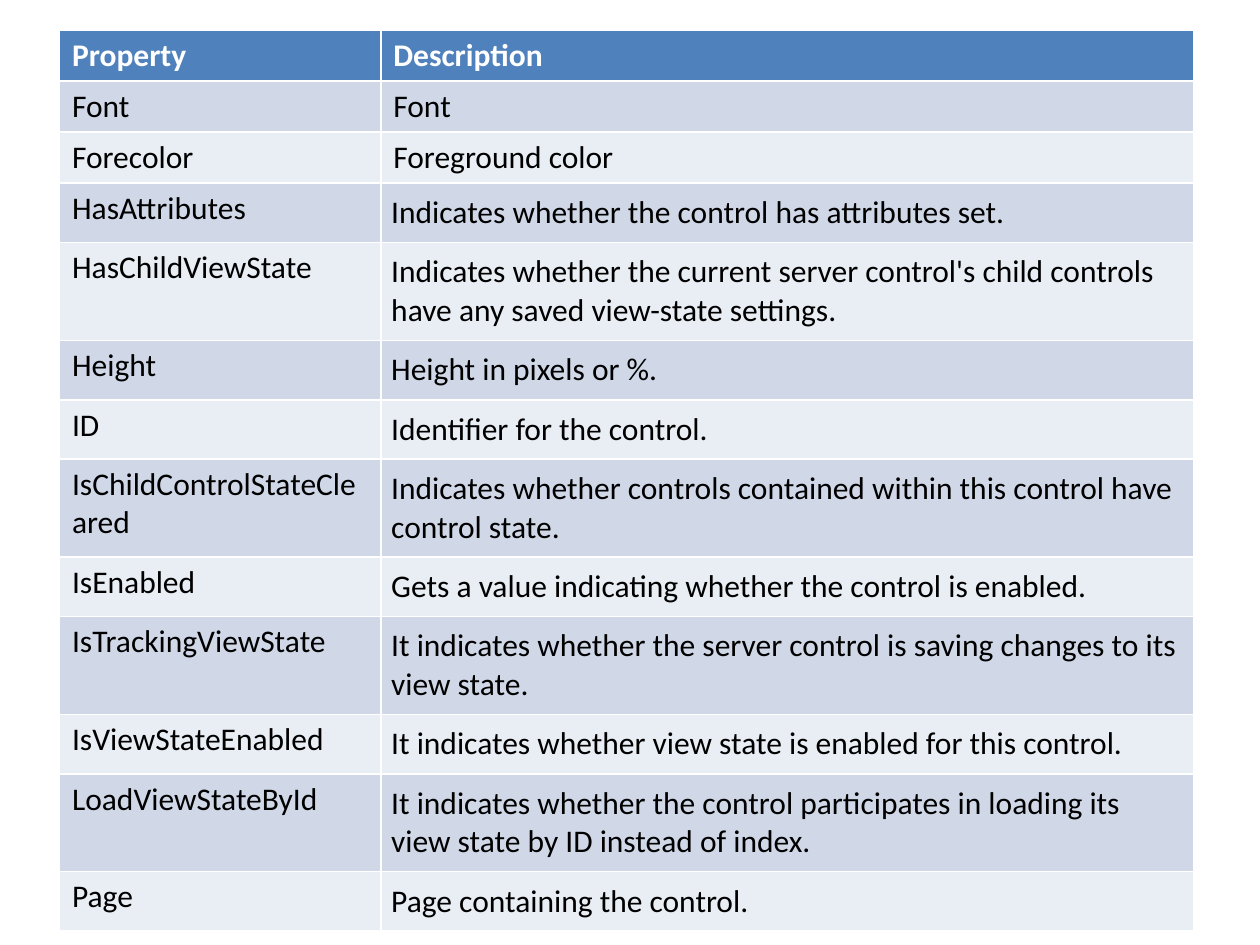
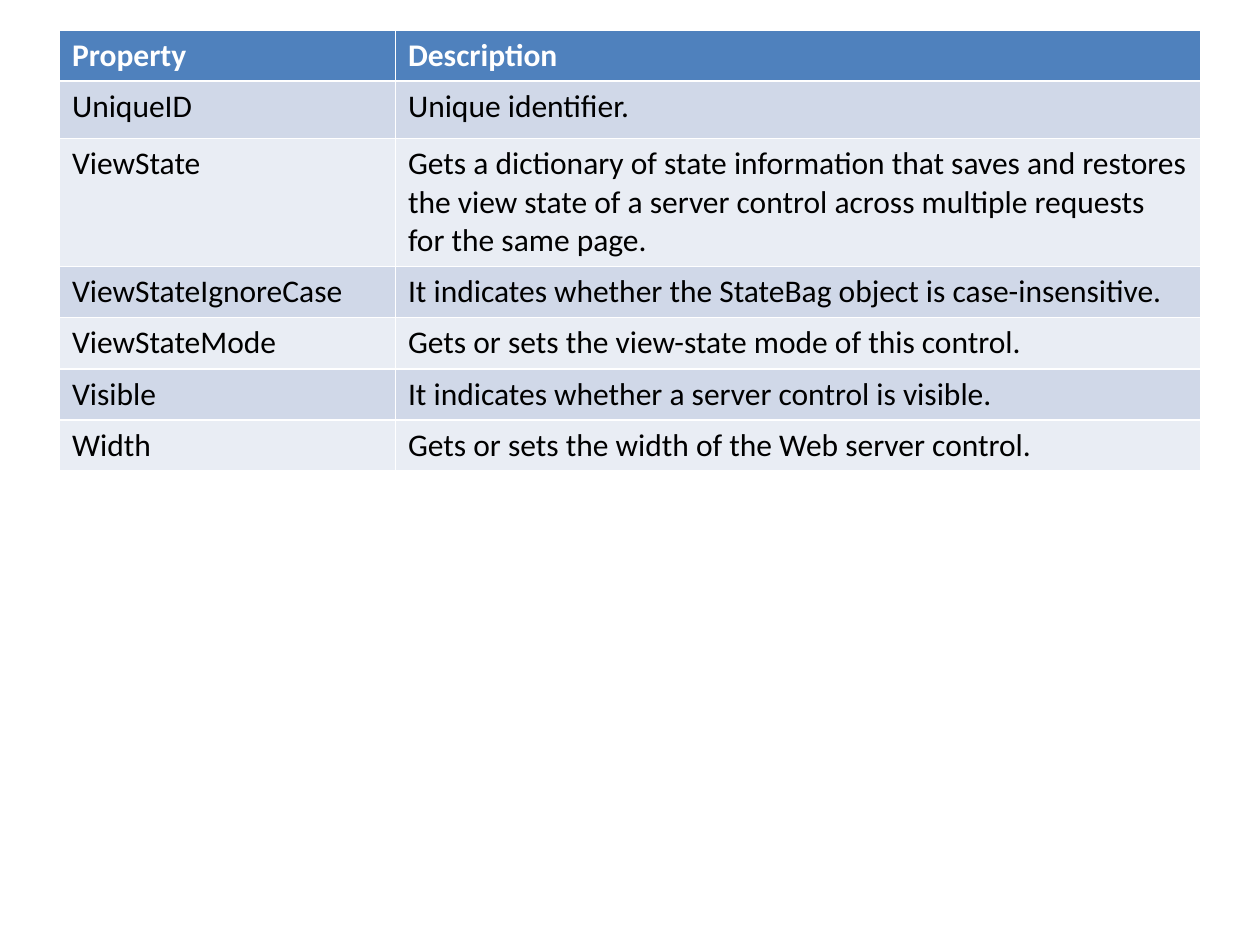
from pptx import Presentation
from pptx.dml.color import RGBColor
from pptx.util import Pt

HEADER = ("Property", "Description")
TABLES = [
    {
        "cols": (183.6, 464.4), "row": 29.2, "tall": {}, "padded_from": 3,
        "rows": [
            ("Font", "Font"),
            ("Forecolor", "Foreground color"),
            ("HasAttributes", "Indicates whether the control has attributes set."),
            ("HasChildViewState", "Indicates whether the current server control's child "
             "controls have any saved view-state settings."),
            ("Height", "Height in pixels or %."),
            ("ID", "Identifier for the control."),
            ("IsChildControlStateCleared", "Indicates whether controls contained within "
             "this control have control state."),
            ("IsEnabled", "Gets a value indicating whether the control is enabled."),
            ("IsTrackingViewState", "It indicates whether the server control is saving "
             "changes to its view state."),
            ("IsViewStateEnabled", "It indicates whether view state is enabled for this control."),
            ("LoadViewStateById", "It indicates whether the control participates in loading "
             "its view state by ID instead of index."),
            ("Page", "Page containing the control."),
        ],
    },
    {
        "cols": (192, 460), "row": 28.1, "tall": {1: 33}, "padded_from": None,
        "rows": [
            ("UniqueID", "Unique identifier."),
            ("ViewState", "Gets a dictionary of state information that saves and restores "
             "the view state of a server control across multiple requests for the same page."),
            ("ViewStateIgnoreCase", "It indicates whether the StateBag object is case-insensitive."),
            ("ViewStateMode", "Gets or sets the view-state mode of this control."),
            ("Visible", "It indicates whether a server control is visible."),
            ("Width", "Gets or sets the width of the Web server control."),
        ],
    },
]

COLORS = {"header": "4F81BD", "odd": "D0D8E8", "even": "E9EDF4",
          "header_text": "FFFFFF", "text": "000000"}
FONT, SIZE = "Calibri", 18
LEFT, TOP = 34, 17
PADDING = 6


def color(name):
    return RGBColor.from_string(COLORS[name])


def fill_cell(cell, content, row):
    band = "header" if row == 0 else "odd" if row % 2 else "even"
    cell.fill.solid()
    cell.fill.fore_color.rgb = color(band)
    p = cell.text_frame.paragraphs[0]
    p.text = content
    p.font.name, p.font.size = FONT, Pt(SIZE)
    p.font.bold = row == 0
    p.font.color.rgb = color("header_text" if row == 0 else "text")


def pad_cell(cell):
    cell.margin_left = cell.margin_right = Pt(PADDING)
    cell.margin_top = cell.margin_bottom = Pt(PADDING)


def add_property_table(slide, data):
    rows = [HEADER] + data["rows"]
    heights = [data["tall"].get(i, data["row"]) for i in range(len(rows))]
    table = slide.shapes.add_table(len(rows), len(HEADER), Pt(LEFT), Pt(TOP),
                                   Pt(sum(data["cols"])), Pt(sum(heights))).table
    for column, width in zip(table.columns, data["cols"]):
        column.width = Pt(width)
    for i, (contents, height) in enumerate(zip(rows, heights)):
        table.rows[i].height = Pt(height)
        for j, content in enumerate(contents):
            fill_cell(table.cell(i, j), content, i)
        if data["padded_from"] and i >= data["padded_from"]:
            pad_cell(table.cell(i, 1))


def main():
    prs = Presentation()
    prs.slide_width, prs.slide_height = Pt(720), Pt(540)
    for data in TABLES:
        add_property_table(prs.slides.add_slide(prs.slide_layouts[6]), data)
    prs.save("out.pptx")


if __name__ == "__main__":
    main()
